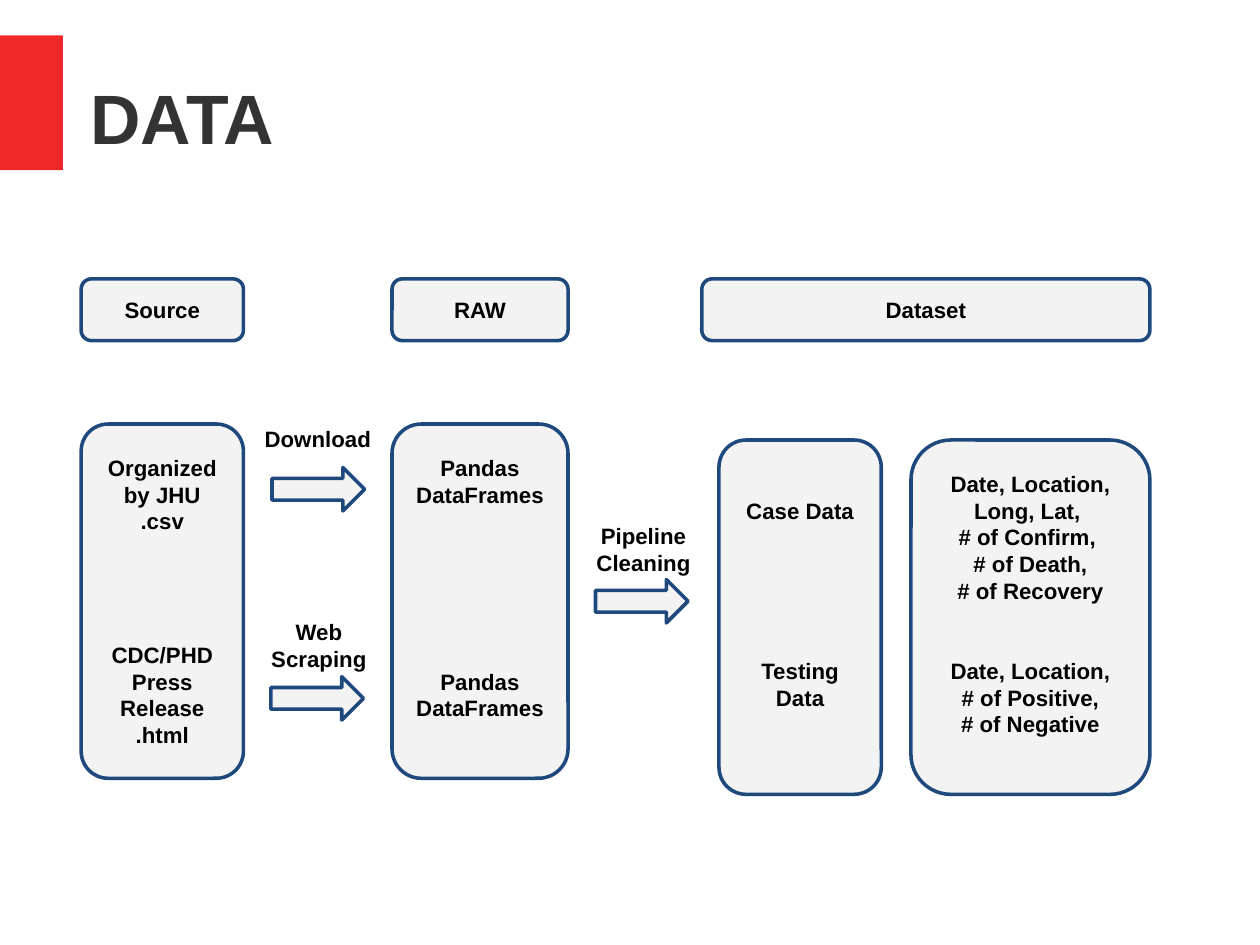
from pptx import Presentation
from pptx.dml.color import RGBColor
from pptx.enum.shapes import MSO_SHAPE as Shape
from pptx.enum.text import MSO_ANCHOR as Anchor, MSO_AUTO_SIZE as AutoSize, PP_ALIGN as Align
from pptx.util import Cm, Inches, Pt

NAVY, PALE, RED, CHARCOAL, BLACK = "1F497D", "F3F3F3", "EF2929", "333333", "000000"
LINE_HEIGHT = 16.85
PADDING = 0.1


def color(hex_code):
    """Turn a hex string into a colour."""
    return RGBColor.from_string(hex_code)


def write(frame, groups, size=14, ink=BLACK, align=Align.CENTER, anchor=Anchor.MIDDLE,
          padding=PADDING, gap_lines=0, tail_lines=0):
    """Write groups of paragraphs, set apart by a number of line heights."""
    frame.word_wrap = True
    frame.auto_size = AutoSize.NONE
    frame.vertical_anchor = anchor
    frame.margin_left = frame.margin_right = frame.margin_top = Inches(padding)
    frame.margin_bottom = Inches(padding + tail_lines * LINE_HEIGHT / 72)
    entries = [(text, number > 0 and row == 0)
               for number, group in enumerate(groups) for row, text in enumerate(group)]
    for index, (text, starts_group) in enumerate(entries):
        paragraph = frame.add_paragraph() if index else frame.paragraphs[0]
        paragraph.alignment = align
        paragraph.space_before = Pt(gap_lines * LINE_HEIGHT if starts_group else 0)
        run = paragraph.add_run()
        run.text = text
        run.font.name = "Arial"
        run.font.size = Pt(size)
        run.font.bold = True
        run.font.color.rgb = color(ink)


def add_block(slide, kind, left, top, width, height, fill=PALE, outline=NAVY):
    """Add a filled shape with an optional outline."""
    block = slide.shapes.add_shape(kind, Inches(left), Inches(top), Inches(width), Inches(height))
    block.shadow.inherit = False
    block.fill.solid()
    block.fill.fore_color.rgb = color(fill)
    if outline:
        block.line.color.rgb = color(outline)
        block.line.width = Pt(2.25)
    else:
        block.line.fill.background()
    return block


def add_panel(slide, left, top, width, height, groups, **text_format):
    """Add a rounded panel with text."""
    panel = add_block(slide, Shape.ROUNDED_RECTANGLE, left, top, width, height)
    write(panel.text_frame, groups, **text_format)


def add_step(slide, arrow_left, arrow_top, label_left, label_top, lines):
    """Add an arrow with the label of its processing step."""
    add_block(slide, Shape.RIGHT_ARROW, arrow_left, arrow_top, 0.81, 0.38)
    label = slide.shapes.add_textbox(Inches(label_left), Inches(label_top),
                                     Inches(1.32), Inches(0.38))
    write(label.text_frame, [lines], anchor=Anchor.TOP)


def add_title(slide, text):
    """Add the red marker and fill the title placeholder."""
    add_block(slide, Shape.RECTANGLE, 0, 0.31, 0.55, 1.18, fill=RED, outline=None)
    title = slide.shapes.title
    title.left, title.top = Inches(0.79), Inches(0.33)
    title.width, title.height = Inches(9.68), Inches(1.38)
    write(title.text_frame, [[text]], size=44, ink=CHARCOAL, align=Align.LEFT, padding=0)


def main():
    """Build the data pipeline slide."""
    deck = Presentation()
    deck.slide_width, deck.slide_height = Cm(28), Cm(21)
    slide = deck.slides.add_slide(deck.slide_layouts[5])
    add_title(slide, "DATA")

    for heading, left, width in [("Source", 0.71, 1.42), ("RAW", 3.43, 1.54),
                                 ("Dataset", 6.14, 3.92)]:
        add_panel(slide, left, 2.44, width, 0.54, [[heading]])

    stages = [
        (0.71, 3.71, 1.42, 4, 0,
         [["Organized by JHU", ".csv"], ["CDC/PHD Press Release", ".html"]]),
        (3.43, 3.71, 1.54, 6, 1, [["Pandas DataFrames"], ["Pandas DataFrames"]]),
        (6.29, 3.85, 1.42, 5, 1, [["Case Data"], ["Testing Data"]]),
        (7.97, 3.85, 2.09, 2, 1,
         [["Date, Location,", "Long, Lat, ", "# of Confirm, ", "# of Death,", "# of Recovery"],
          ["Date, Location,", "# of Positive,", "# of Negative"]]),
    ]
    for left, top, width, gap_lines, tail_lines, groups in stages:
        add_panel(slide, left, top, width, 3.1, groups,
                  gap_lines=gap_lines, tail_lines=tail_lines)

    add_step(slide, 2.38, 4.09, 2.12, 3.62, ["Download"])
    add_step(slide, 2.37, 5.92, 2.13, 5.31, ["Web Scraping"])
    add_step(slide, 5.21, 5.07, 4.97, 4.47, ["Pipeline", "Cleaning"])
    deck.save("out.pptx")


if __name__ == "__main__":
    main()
